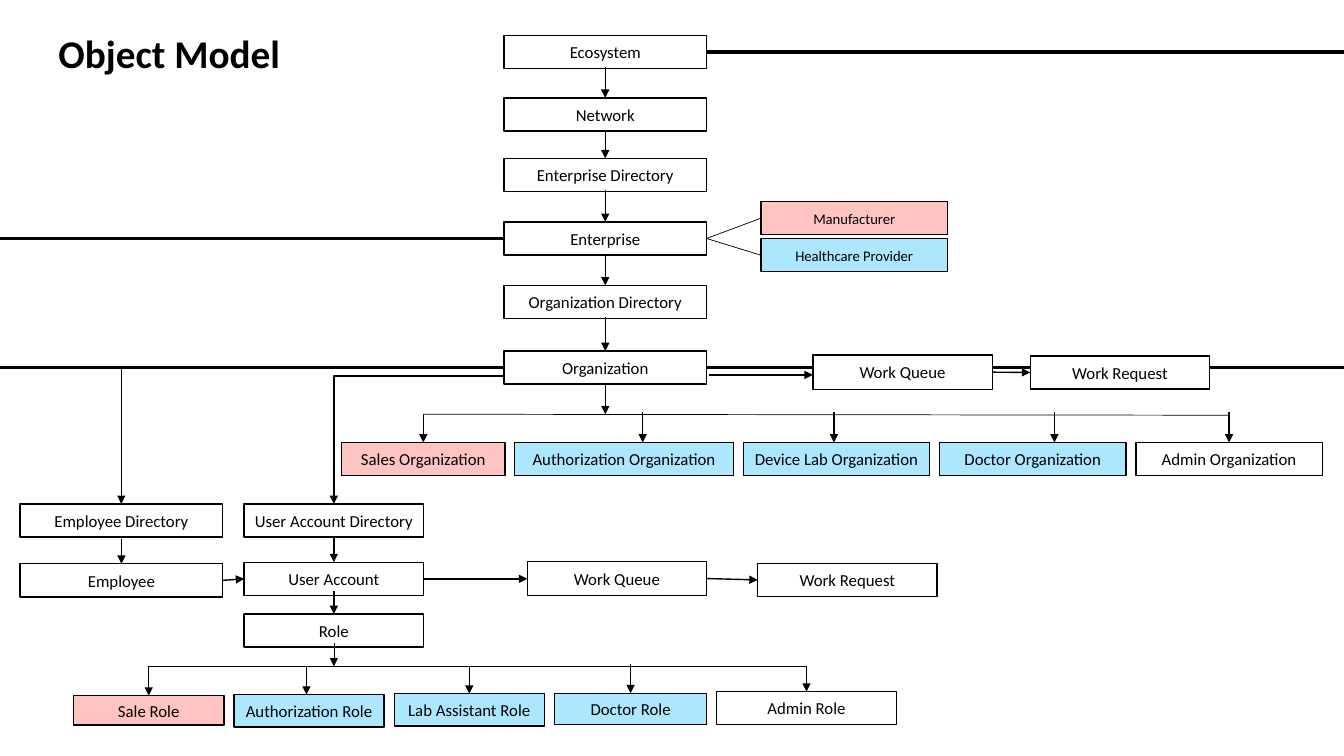
from dataclasses import dataclass
from pptx import Presentation
from pptx.dml.color import RGBColor
from pptx.enum.shapes import MSO_CONNECTOR, MSO_SHAPE
from pptx.enum.text import MSO_ANCHOR, PP_ALIGN
from pptx.oxml.ns import qn
from pptx.util import Pt
from lxml import etree

STRAIGHT = MSO_CONNECTOR.STRAIGHT
ELBOW = MSO_CONNECTOR.ELBOW
RECTANGLE = MSO_SHAPE.RECTANGLE
MIDDLE = MSO_ANCHOR.MIDDLE
CENTER = PP_ALIGN.CENTER
BLACK = RGBColor(0x00, 0x00, 0x00)
WHITE = RGBColor(0xFF, 0xFF, 0xFF)
PINK = RGBColor(0xFF, 0xC4, 0xC2)
BLUE = RGBColor(0xAD, 0xE6, 0xFF)
SLIDE_WIDTH, SLIDE_HEIGHT = 960, 540
NODE_HEIGHT = 23.7
HAIRLINE, THIN, THICK = 0.5, 1, 2.25


@dataclass
class Box:
    left: float
    top: float
    width: float
    height: float = NODE_HEIGHT

    @property
    def right(self):
        return self.left + self.width

    @property
    def bottom(self):
        return self.top + self.height

    @property
    def center(self):
        return self.left + self.width / 2

    @property
    def middle(self):
        return self.top + self.height / 2

    def inner(self, left, top, width, height=NODE_HEIGHT):
        return Box(self.left + left, self.top + top, width, height)


def add_text(frame, text, size, bold=False):
    run = frame.paragraphs[0].add_run()
    run.text = text
    run.font.name = "Calibri"
    run.font.size = Pt(size)
    run.font.bold = bold
    run.font.color.rgb = BLACK


def add_node(slide, text, box, fill=WHITE, size=12):
    node = slide.shapes.add_shape(
        RECTANGLE, Pt(box.left), Pt(box.top), Pt(box.width), Pt(box.height))
    node.shadow.inherit = False
    node.fill.solid()
    node.fill.fore_color.rgb = fill
    node.line.color.rgb = BLACK
    node.line.width = Pt(THIN)
    frame = node.text_frame
    frame.margin_left = frame.margin_right = Pt(0)
    frame.margin_top = frame.margin_bottom = Pt(0)
    frame.word_wrap = True
    frame.vertical_anchor = MIDDLE
    frame.paragraphs[0].alignment = CENTER
    add_text(frame, text, size)
    return box


def add_line(slide, start, end, weight=THIN, arrow=False, kind=STRAIGHT):
    link = slide.shapes.add_connector(
        kind, Pt(start[0]), Pt(start[1]), Pt(end[0]), Pt(end[1]))
    link.line.color.rgb = BLACK
    link.line.width = Pt(weight)
    properties = link._element.spPr
    if kind == ELBOW:
        properties.find(qn("a:prstGeom")).set("prst", "bentConnector2")
    if arrow:
        etree.SubElement(properties.find(qn("a:ln")), qn("a:tailEnd"), type="triangle")
    etree.SubElement(properties, qn("a:effectLst"))


def add_down_arrow(slide, source, target, overlap=0.0):
    add_line(slide, (source.center, source.bottom - overlap),
             (source.center, target.top), arrow=True)


def add_right_arrow(slide, source, target):
    add_line(slide, (source.right, source.middle),
             (target.left, target.middle), arrow=True)


def build_title(slide, box):
    title = slide.shapes.add_textbox(
        Pt(box.left), Pt(box.top), Pt(box.width), Pt(box.height))
    title.text_frame.word_wrap = True
    add_text(title.text_frame, "Object Model", 28, bold=True)


def build_hierarchy(slide, box):
    levels = [("Ecosystem", 0), ("Network", 44.6), ("Enterprise Directory", 87.8),
              ("Enterprise", 133.2), ("Organization Directory", 178.6),
              ("Organization", 225.4)]
    nodes = {name: add_node(slide, name, box.inner(0, top, box.width))
             for name, top in levels}
    chain = list(nodes.values())
    for source, target in zip(chain, chain[1:]):
        add_down_arrow(slide, source, target, overlap=1)
    return nodes


def build_boundaries(slide, box, hierarchy):
    for name in ("Ecosystem", "Organization"):
        level = hierarchy[name]
        add_line(slide, (level.right, level.middle), (box.right, level.middle), THICK)
    for name in ("Enterprise", "Organization"):
        level = hierarchy[name]
        add_line(slide, (box.left, level.middle), (level.left, level.middle), THICK)


def build_enterprise_types(slide, box, enterprise):
    types = [("Manufacturer", PINK), ("Healthcare Provider", BLUE)]
    for index, (name, fill) in enumerate(types):
        node = add_node(slide, name, box.inner(0, index * 26.5, box.width), fill, 10.5)
        add_line(slide, (enterprise.right, enterprise.middle),
                 (node.left, node.middle), HAIRLINE)


def build_branch(slide, box, parent, children, gap, weight, overlap=0.0):
    left = 0
    tips = []
    for name, fill, width, drop, height, shift, lead in children:
        node = add_node(slide, name, box.inner(left, drop, width, height), fill)
        tip = node.center + shift
        add_line(slide, (tip, box.top - lead), (tip, node.top), weight, arrow=True)
        tips.append(tip)
        left += width + gap
    add_line(slide, (tips[0], box.top), (tips[-1], box.top + box.height), HAIRLINE)
    add_line(slide, (parent.center, parent.bottom - overlap),
             (parent.center, box.top), weight, arrow=True)


def build_work_items(slide, box, source, request_left, request_drop):
    queue = add_node(slide, "Work Queue", box.inner(0, 0, box.width, 24.5))
    request = add_node(slide, "Work Request",
                       box.inner(request_left, request_drop, box.width))
    add_line(slide, source, (queue.left, source[1]), arrow=True)
    add_right_arrow(slide, queue, request)


def build_accounts(slide, box, organization):
    employees = add_node(slide, "Employee Directory", box.inner(0, 0, 144.7))
    employee = add_node(slide, "Employee", box.inner(0, 42.7, 144.7))
    accounts = add_node(slide, "User Account Directory", box.inner(160, 0, 128.2))
    account = add_node(slide, "User Account", box.inner(160, 41.6, 128.2))
    role = add_node(slide, "Role", box.inner(160, 78.6, 128.2))
    add_down_arrow(slide, employees, employee, overlap=-1.5)
    add_down_arrow(slide, accounts, account)
    add_down_arrow(slide, account, role, overlap=3)
    add_right_arrow(slide, employee, account)
    for directory, offset, weight in [(employees, 0, HAIRLINE), (accounts, 6, THIN)]:
        add_line(slide, (organization.left, organization.middle + offset),
                 (directory.center, directory.top), weight, arrow=True, kind=ELBOW)
    return account, role


ORGANIZATIONS = [
    ("Sales Organization", PINK, 116.6, 20.2, NODE_HEIGHT, 0, 0),
    ("Authorization Organization", BLUE, 156.2, 20.2, NODE_HEIGHT, 13.3, 1.4),
    ("Device Lab Organization", BLUE, 133.2, 20.2, NODE_HEIGHT, -1.8, 1.4),
    ("Doctor Organization", BLUE, 133.2, 20.2, NODE_HEIGHT, 15.5, 1.4),
    ("Admin Organization", WHITE, 133.2, 20.2, NODE_HEIGHT, 0, 1.4),
]
ROLES = [
    ("Sale Role", PINK, 107.3, 20.9, 20.9, 0, 0),
    ("Authorization Role", BLUE, 107.3, 20.2, 23, -1.8, 0),
    ("Lab Assistant Role", BLUE, 107.3, 19.5, 23, 0, 0),
    ("Doctor Role", BLUE, 108.7, 19.2, 22.3, 0, 1.4),
    ("Admin Role", WHITE, 128.2, 18, NODE_HEIGHT, 0, 0),
]

deck = Presentation()
deck.slide_width = Pt(SLIDE_WIDTH)
deck.slide_height = Pt(SLIDE_HEIGHT)
slide = deck.slides.add_slide(deck.slide_layouts[6])

hierarchy = build_hierarchy(slide, Box(360, 25.3, 144.7, 249.1))
organization = hierarchy["Organization"]
build_boundaries(slide, Box(0, 0, SLIDE_WIDTH, SLIDE_HEIGHT), hierarchy)
build_enterprise_types(slide, Box(543.6, 144, 133.2, 50.2), hierarchy["Enterprise"])
build_branch(slide, Box(244.1, 295.9, 700, 0.7), organization, ORGANIZATIONS, 7, THIN)
account, role = build_accounts(slide, Box(14.4, 360, 288.2, 102.3), organization)
build_branch(slide, Box(52.6, 476, 588, 0), role, ROLES, 7.2, HAIRLINE, overlap=3)
build_work_items(slide, Box(376.6, 401, 128.2), (account.right, account.middle), 164.6, 1.4)
build_work_items(slide, Box(580.6, 253.6, 128.2), (506.2, 267.8), 155.3, 0.6)
build_title(slide, Box(34.6, 17.3, 209.5, 41))

deck.save("out.pptx")
